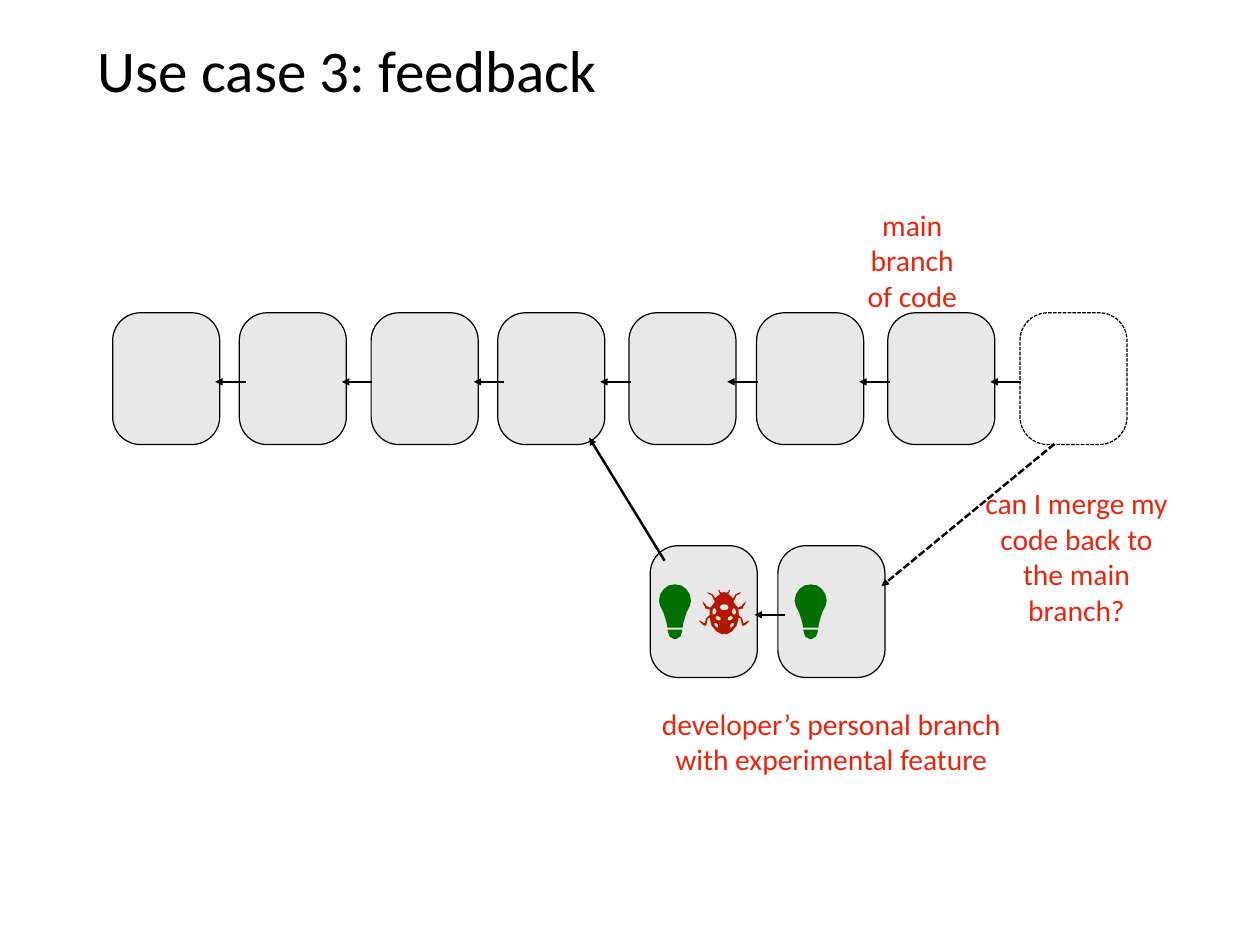
from dataclasses import dataclass

from lxml import etree
from pptx import Presentation
from pptx.dml.color import RGBColor
from pptx.enum.dml import MSO_LINE
from pptx.enum.shapes import MSO_CONNECTOR, MSO_SHAPE
from pptx.enum.text import MSO_ANCHOR, PP_ALIGN
from pptx.oxml.ns import qn
from pptx.slide import Slide
from pptx.text.text import TextFrame
from pptx.util import Cm, Pt

ROUNDED = MSO_SHAPE.ROUNDED_RECTANGLE
STRAIGHT = MSO_CONNECTOR.STRAIGHT
SHORT_DASH = MSO_LINE.SQUARE_DOT
MIDDLE = MSO_ANCHOR.MIDDLE
CENTER, LEFT = PP_ALIGN.CENTER, PP_ALIGN.LEFT

FONT = "Calibri"
COLORS = {"black": "000000", "white": "FFFFFF", "commit": "E8E8E8",
          "label": "EE230C", "bulb": "027001", "bug": "B51600"}
TITLE_ONLY = 5
COMMIT_WIDTH, COMMIT_HEIGHT = 3.07, 3.78
MAIN_TOP, BRANCH_TOP = 8.97, 15.65
ARROW_LENGTH, ARROW_DROP = 0.87, 1.98

Points = list[tuple[int, int]]


@dataclass
class Commit:
    left: float
    top: float
    proposed: bool = False


@dataclass
class Arrow:
    start: tuple[float, float]
    end: tuple[float, float]
    dashed: bool = False


@dataclass
class Label:
    left: float
    top: float
    width: float
    height: float
    lines: list[str]


@dataclass
class Icon:
    center: float
    top: float
    color: str
    contours: list[Points]


def color(name: str) -> RGBColor:
    return RGBColor.from_string(COLORS[name])


def mirror(points: Points) -> Points:
    return [(-x, y) for x, y in reversed(points)]


def symmetric(right_half: Points) -> Points:
    return right_half + mirror(right_half)


# Icon outlines in hundredths of a centimetre from the top centre
BULB = [
    symmetric([(0, 0), (18, 3), (32, 13), (42, 28), (46, 46), (43, 61),
               (33, 81), (24, 110), (22, 124)]),
    symmetric([(21, 130), (20, 137), (18, 142), (17, 145), (15, 150),
               (12, 152), (8, 153), (5, 156), (0, 157)]),
]
BUG_BODY = [
    (0, 5), (6, 8), (12, 5), (14, 0), (17, 1), (14, 8), (12, 11), (15, 15),
    (19, 17), (24, 23), (27, 22), (32, 13), (42, 8), (48, 7), (45, 11),
    (35, 16), (30, 28), (27, 31), (28, 36), (34, 44), (40, 51), (50, 46),
    (53, 41), (59, 36), (62, 32), (60, 40), (55, 48), (54, 53), (41, 56),
    (42, 73), (51, 80), (56, 96), (69, 88), (72, 89), (67, 94), (62, 99),
    (55, 103), (51, 100), (47, 82), (42, 79), (36, 102), (22, 119),
    (6, 127), (0, 125),
]
CENTER_SPOT = [(0, 41), (9, 43), (13, 49), (9, 56), (0, 58)]
SIDE_SPOTS = [
    [(27, 51), (33, 57), (34, 66), (30, 71), (24, 68), (22, 60)],
    [(19, 74), (25, 78), (23, 84), (16, 88), (10, 85), (11, 78)],
    [(23, 94), (28, 95), (27, 102), (22, 107), (17, 107), (17, 100)],
]
BUG = [symmetric(BUG_BODY), symmetric(CENTER_SPOT), *SIDE_SPOTS,
       *[mirror(spot) for spot in SIDE_SPOTS]]

MAIN_LEFTS = [3.23, 6.86, 10.64, 14.27, 18.03, 21.69, 25.45]
COMMITS = [Commit(left, MAIN_TOP) for left in MAIN_LEFTS] + [
    Commit(29.24, MAIN_TOP, proposed=True),
    Commit(18.64, BRANCH_TOP),
    Commit(22.3, BRANCH_TOP),
]
ARROW_STARTS = [(x, MAIN_TOP + ARROW_DROP)
                for x in (7.04, 10.67, 14.45, 18.08, 21.72, 25.5, 29.26)]
ARROW_STARTS.append((22.5, BRANCH_TOP + ARROW_DROP))
ARROWS = [Arrow((x, y), (x - ARROW_LENGTH, y)) for x, y in ARROW_STARTS] + [
    Arrow((19.05, 16.08), (16.89, 12.55)),
    Arrow((30.23, 12.73), (25.27, 16.81), dashed=True),
]
LABELS = [
    Label(24.5, 5.8, 3.3, 3.3, ["main branch", "of code"]),
    Label(18.8, 20.09, 10.06, 2.34,
          ["developer’s personal branch", "with experimental feature"]),
    Label(27.94, 13.9, 5.84, 4.1,
          ["can I merge my", "code back to", "the main branch?"]),
]
ICONS = [Icon(19.35, 16.76, "bulb", BULB), Icon(20.76, 16.92, "bug", BUG),
         Icon(23.24, 16.76, "bulb", BULB)]


def write_text(frame: TextFrame, lines: list[str], size: int,
               color_name: str, alignment: PP_ALIGN) -> None:
    frame.word_wrap = True
    frame.vertical_anchor = MIDDLE
    frame.margin_left = frame.margin_right = Cm(0.16)
    frame.margin_top = frame.margin_bottom = Cm(0.16)
    for index, line in enumerate(lines):
        paragraph = frame.add_paragraph() if index else frame.paragraphs[0]
        paragraph.alignment = alignment
        run = paragraph.add_run()
        run.text = line
        run.font.name = FONT
        run.font.size = Pt(size)
        run.font.color.rgb = color(color_name)


def draw_title(slide: Slide, text: str) -> None:
    title = slide.shapes.title
    title.left, title.top = Cm(2.64), Cm(0.71)
    title.width, title.height = Cm(30.84), Cm(2.51)
    write_text(title.text_frame, [text], 48, "black", LEFT)


def draw_commit(slide: Slide, commit: Commit) -> None:
    shape = slide.shapes.add_shape(ROUNDED, Cm(commit.left), Cm(commit.top),
                                   Cm(COMMIT_WIDTH), Cm(COMMIT_HEIGHT))
    shape.adjustments[0] = 0.26
    shape.shadow.inherit = False
    shape.fill.solid()
    shape.fill.fore_color.rgb = color("white" if commit.proposed else "commit")
    shape.line.color.rgb = color("black")
    shape.line.width = Pt(1)
    if commit.proposed:
        shape.line.dash_style = SHORT_DASH


def draw_arrow(slide: Slide, arrow: Arrow) -> None:
    connector = slide.shapes.add_connector(
        STRAIGHT, *[Cm(value) for value in arrow.start + arrow.end])
    connector.line.color.rgb = color("black")
    connector.line.width = Pt(2)
    if arrow.dashed:
        connector.line.dash_style = SHORT_DASH
    properties = connector._element.spPr
    etree.SubElement(properties.find(qn("a:ln")), qn("a:tailEnd"),
                     type="triangle")
    etree.SubElement(properties, qn("a:effectLst"))


def draw_label(slide: Slide, label: Label) -> None:
    box = slide.shapes.add_textbox(Cm(label.left), Cm(label.top),
                                   Cm(label.width), Cm(label.height))
    write_text(box.text_frame, label.lines, 24, "label", CENTER)


def draw_icon(slide: Slide, icon: Icon) -> None:
    first, *others = icon.contours
    builder = slide.shapes.build_freeform(*first[0], scale=Cm(0.01))
    builder.add_line_segments(first[1:], close=True)
    for contour in others:
        builder.move_to(*contour[0])
        builder.add_line_segments(contour[1:], close=True)
    shape = builder.convert_to_shape(Cm(icon.center), Cm(icon.top))
    shape.shadow.inherit = False
    shape.fill.solid()
    shape.fill.fore_color.rgb = color(icon.color)
    shape.line.fill.background()


def main() -> None:
    presentation = Presentation()
    presentation.slide_width, presentation.slide_height = Cm(36.12), Cm(27.1)
    slide = presentation.slides.add_slide(
        presentation.slide_layouts[TITLE_ONLY])
    draw_title(slide, "Use case 3: feedback")
    # Commit history and its links
    for commit in COMMITS:
        draw_commit(slide, commit)
    for arrow in ARROWS:
        draw_arrow(slide, arrow)
    # Annotations and feature icons
    for label in LABELS:
        draw_label(slide, label)
    for icon in ICONS:
        draw_icon(slide, icon)
    presentation.save("out.pptx")


if __name__ == "__main__":
    main()
